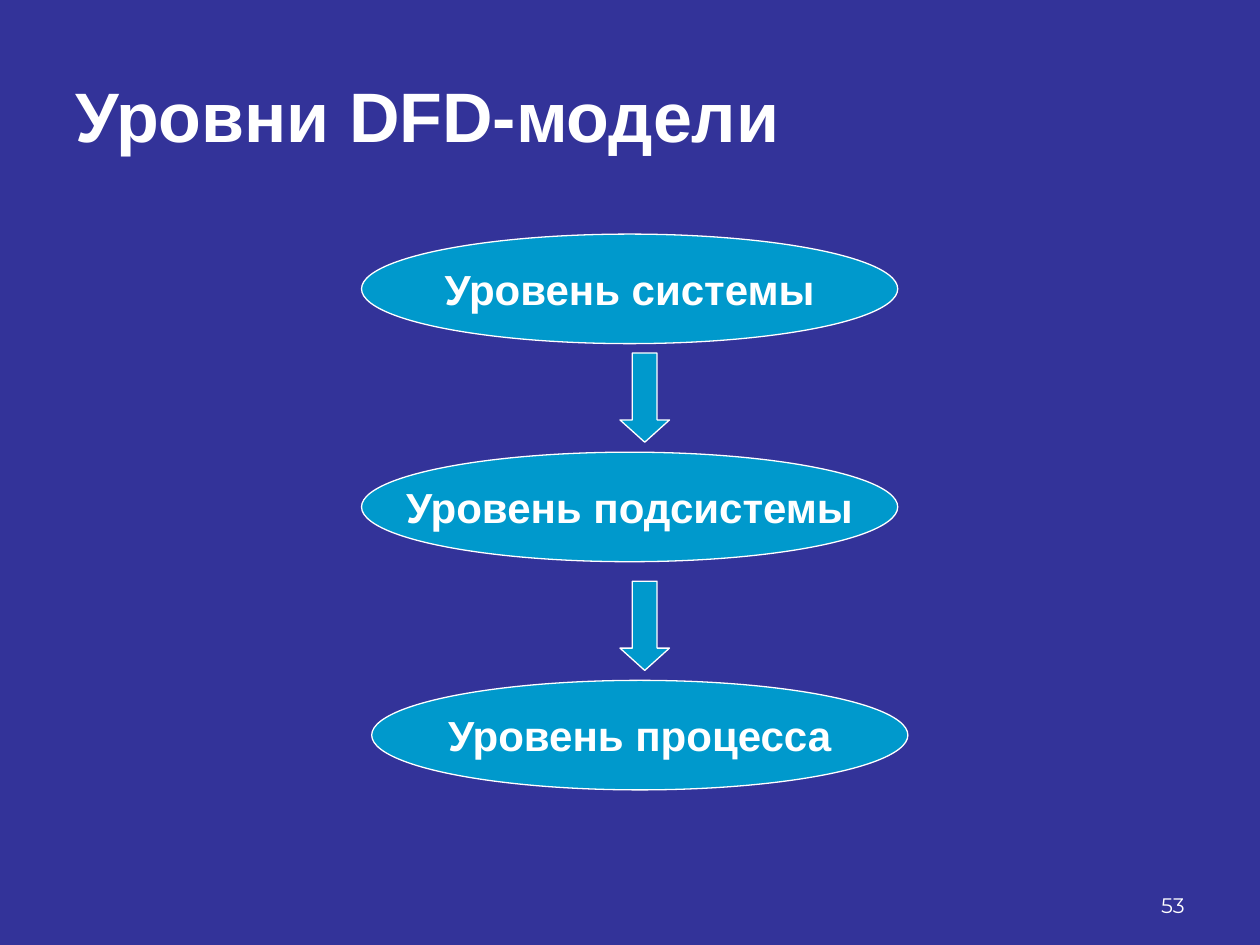
from pptx import Presentation
from pptx.dml.color import RGBColor
from pptx.enum.shapes import MSO_SHAPE
from pptx.enum.text import MSO_ANCHOR, PP_ALIGN
from pptx.util import Pt

WHITE = "FFFFFF"
BLUE = "0099CC"


def paint(color_format, color):
    color_format.rgb = RGBColor.from_string(color)


def write(shape, text, size, font="Arial", bold=True, align=PP_ALIGN.LEFT,
          anchor=MSO_ANCHOR.MIDDLE, wrap=True):
    frame = shape.text_frame
    frame.word_wrap = wrap
    frame.vertical_anchor = anchor
    paragraph = frame.paragraphs[0]
    paragraph.alignment = align
    run = paragraph.add_run()
    run.text = text
    run.font.name = font
    run.font.size = Pt(size)
    run.font.bold = bold
    paint(run.font.color, WHITE)


presentation = Presentation()
presentation.slide_width = Pt(720)
presentation.slide_height = Pt(540)
slide = presentation.slides.add_slide(presentation.slide_layouts[6])
slide.background.fill.solid()
paint(slide.background.fill.fore_color, "333399")

# Title
title = slide.shapes.add_textbox(Pt(36), Pt(36), Pt(648), Pt(58.3))
write(title, "Уровни DFD-модели", 40)

# Levels, and the arrows leading from one to the next
levels = [
    ("Уровень системы", 206.6, 133.8),
    ("Уровень подсистемы", 206.6, 258.4),
    ("Уровень процесса", 212.4, 388.8),
]
diagram = []
for text, left, top in levels:
    ellipse = slide.shapes.add_shape(
        MSO_SHAPE.OVAL, Pt(left), Pt(top), Pt(306.4), Pt(62.6))
    write(ellipse, text, 24, align=PP_ALIGN.CENTER, wrap=False)
    diagram.append(ellipse)

for text, left, top in levels[1:]:
    arrow = slide.shapes.add_shape(
        MSO_SHAPE.DOWN_ARROW, Pt(354.3), Pt(top - 56.7), Pt(28.3), Pt(51))
    arrow.adjustments[0] = 0.5
    arrow.adjustments[1] = 0.45
    diagram.append(arrow)

for shape in diagram:
    shape.shadow.inherit = False
    shape.fill.solid()
    paint(shape.fill.fore_color, BLUE)
    paint(shape.line.color, WHITE)
    shape.line.width = Pt(0.75)

# Slide number
number = slide.shapes.add_textbox(Pt(516), Pt(492), Pt(168), Pt(36))
write(number, "53", 12, font="Montserrat", bold=False,
      align=PP_ALIGN.RIGHT, anchor=MSO_ANCHOR.BOTTOM)

presentation.save("out.pptx")
